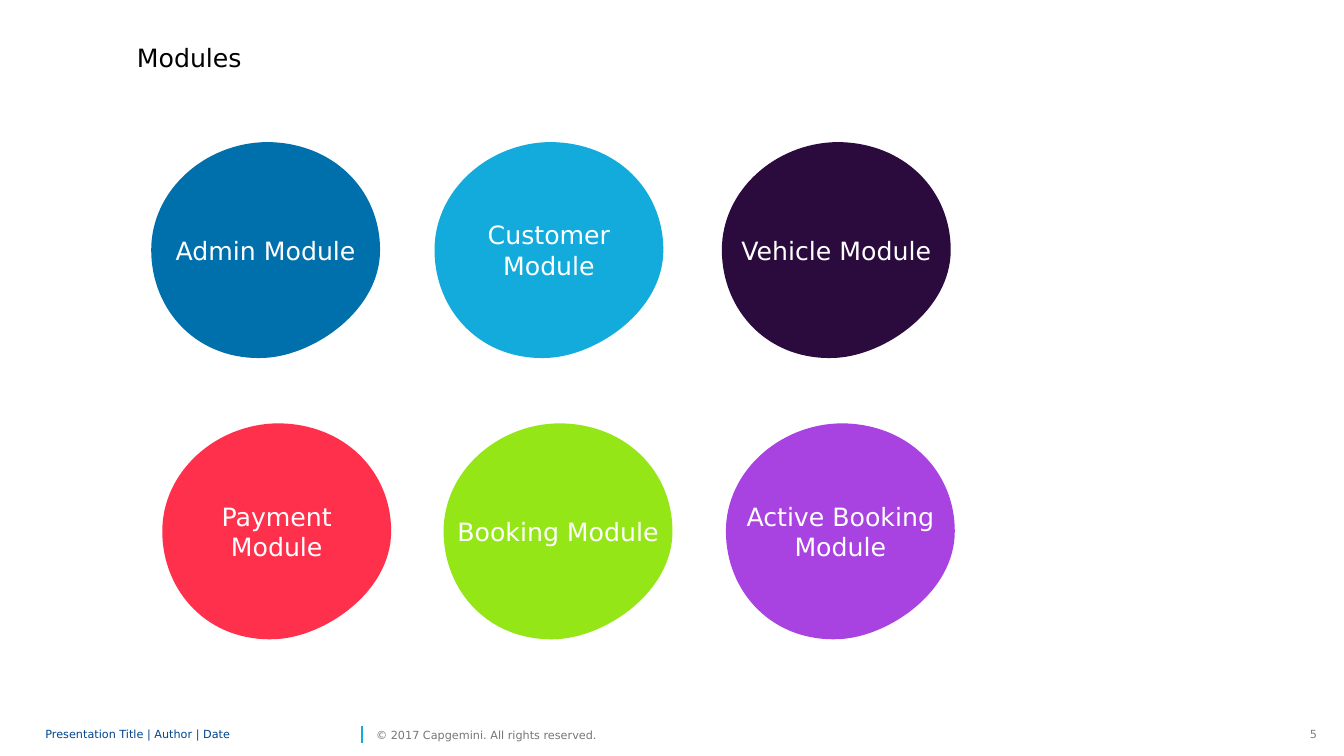
"""Build the Modules slide with six coloured blobs and a footer."""
from lxml import etree
from pptx import Presentation
from pptx import util as u
from pptx.dml.color import RGBColor
from pptx.enum import shapes, text
from pptx.oxml import ns

FONT = "DejaVu Sans"
COLORS = {
    "white": "FFFFFF", "black": "000000", "navy": "00458D", "gray": "767676",
    "light_gray": "808080", "blue": "0070AD", "cyan": "12ABDB",
    "plum": "2B0A3D", "red": "FF304C", "green": "95E616", "purple": "A842E0",
}
BLOB_START = (0, 1.07)
BLOB_CURVES = [
    ((0, 0.48), (0.53, 0.01), (1.14, 0)),
    ((1.81, 0), (2.27, 0.48), (2.27, 1.07)),
    ((2.27, 1.67), (1.62, 2.11), (1.14, 2.14)),
    ((0.46, 2.18), (0, 1.67), BLOB_START),
]
TOP_ROW, BOTTOM_ROW = 1.41, 4.2
MODULES = [
    ("Admin Module", 1.5, TOP_ROW, "blue"),
    ("Customer Module", 4.31, TOP_ROW, "cyan"),
    ("Vehicle Module", 7.16, TOP_ROW, "plum"),
    ("Payment Module", 1.61, BOTTOM_ROW, "red"),
    ("Booking Module", 4.4, BOTTOM_ROW, "green"),
    ("Active Booking Module", 7.2, BOTTOM_ROW, "purple"),
]


def rgb(name):
    """Return the named colour."""
    return RGBColor.from_string(COLORS[name])


def write(text_frame, wording, size, color, align=text.PP_ALIGN.LEFT):
    """Put one formatted paragraph into a text frame."""
    text_frame.text = wording
    paragraph = text_frame.paragraphs[0]
    paragraph.alignment = align
    font = paragraph.runs[0].font
    font.name, font.size, font.color.rgb = FONT, u.Pt(size), rgb(color)


def add_label(slide, wording, box, size, color, wrap=True, align=text.PP_ALIGN.LEFT):
    """Add a text box with the default margins."""
    shape = slide.shapes.add_textbox(*map(u.Inches, box))
    shape.text_frame.word_wrap = wrap
    write(shape.text_frame, wording, size, color, align)
    return shape


def add_footer(slide, wording, left, width, color, wrap=True):
    """Add a small footer label without margins and return its paragraph."""
    shape = add_label(slide, wording, (left, 7.17, width, 0.24), 8, color, wrap)
    frame = shape.text_frame
    frame.margin_left = frame.margin_right = frame.margin_top = frame.margin_bottom = 0
    frame.vertical_anchor = text.MSO_ANCHOR.MIDDLE
    return frame.paragraphs[0]


def add_divider(slide, x, top, bottom, color):
    """Add a thin vertical line."""
    ends = map(u.Inches, (x, bottom, x, top))
    line = slide.shapes.add_connector(shapes.MSO_CONNECTOR.STRAIGHT, *ends)
    line.line.color.rgb, line.line.width = rgb(color), u.Pt(1)
    etree.SubElement(line._element.spPr, ns.qn("a:effectLst"))


def round_outline(shape):
    """Turn the straight sides of a blob into cubic curves."""
    sides = list(shape._element.iter(ns.qn("a:lnTo")))
    for side, curve in zip(sides, BLOB_CURVES):
        bezier = etree.Element(ns.qn("a:cubicBezTo"))
        for x, y in curve:
            etree.SubElement(bezier, ns.qn("a:pt"), x=str(u.Inches(x)), y=str(u.Inches(y)))
        side.getparent().replace(side, bezier)


def add_module(slide, wording, left, top, color):
    """Add a blob with a centred module name."""
    def place(point):
        return u.Inches(left + point[0]), u.Inches(top + point[1])

    builder = slide.shapes.build_freeform(*place(BLOB_START))
    builder.add_line_segments([place(curve[-1]) for curve in BLOB_CURVES], close=True)
    shape = builder.convert_to_shape()
    round_outline(shape)
    shape.shadow.inherit = False
    shape.fill.solid()
    shape.fill.fore_color.rgb = rgb(color)
    shape.line.fill.background()
    shape.text_frame.word_wrap = True
    shape.text_frame.vertical_anchor = text.MSO_ANCHOR.MIDDLE
    write(shape.text_frame, wording, 18, "white", text.PP_ALIGN.CENTER)


def main():
    """Build and save the presentation."""
    presentation = Presentation()
    presentation.slide_width = u.Inches(13.33)
    presentation.slide_height = u.Inches(7.5)
    slide = presentation.slides.add_slide(presentation.slide_layouts[6])

    add_label(slide, "Modules", (1.26, 0.37, 6.27, 0.4), 18, "black")
    for module in MODULES:
        add_module(slide, *module)

    author_line = add_footer(slide, "Presentation Title | Author | Date", 0.45, 3.09, "navy")
    author_line.line_spacing = 0.85
    add_divider(slide, 3.59, 7.2, 7.37, "cyan")
    add_footer(slide, "© 2017 Capgemini. All rights reserved.", 3.73, 2.43, "gray", wrap=False)
    add_label(slide, "5", (12.89, 7.17, 0.27, 0.24), 8, "light_gray", False,
              text.PP_ALIGN.RIGHT)
    presentation.save("out.pptx")


if __name__ == "__main__":
    main()
